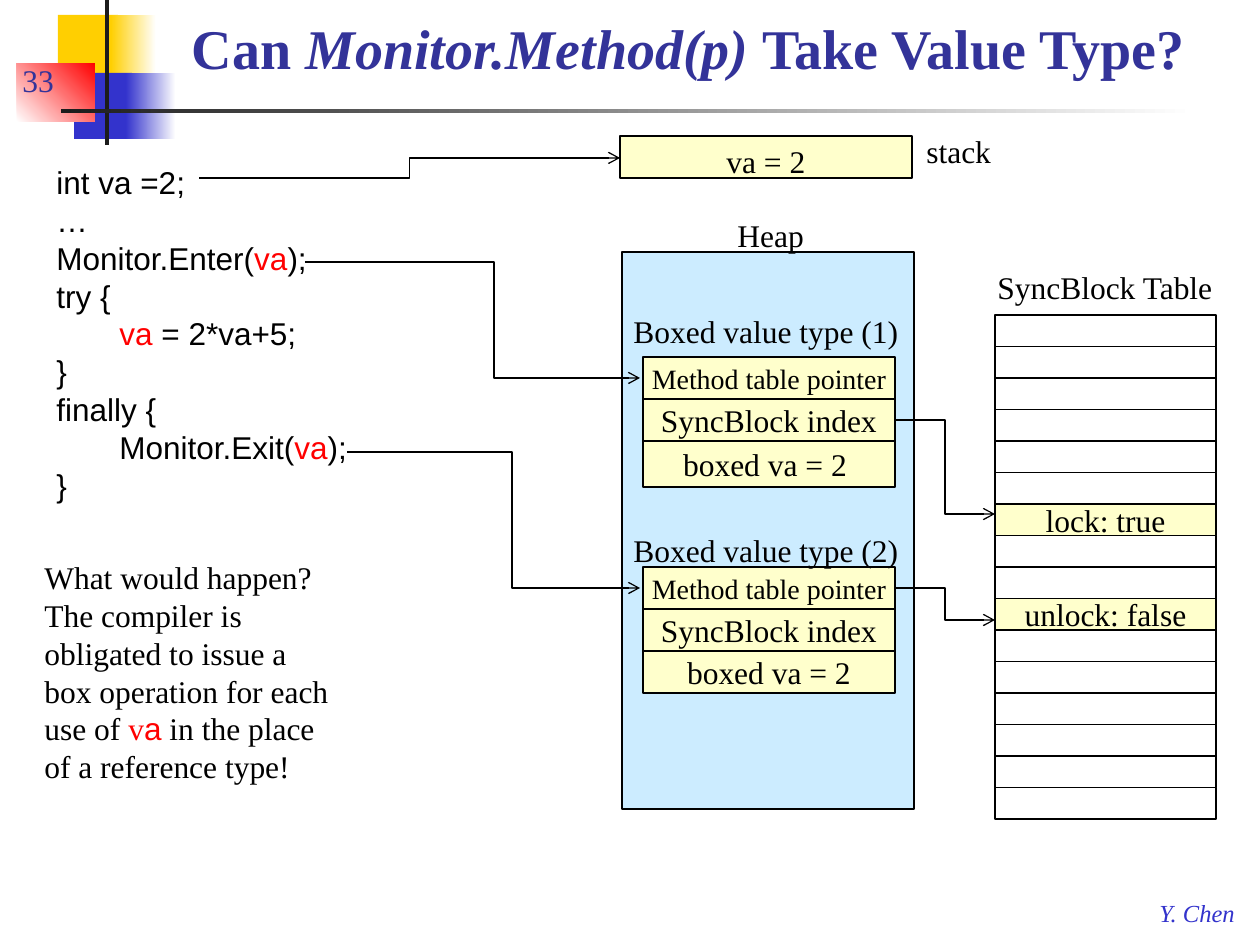
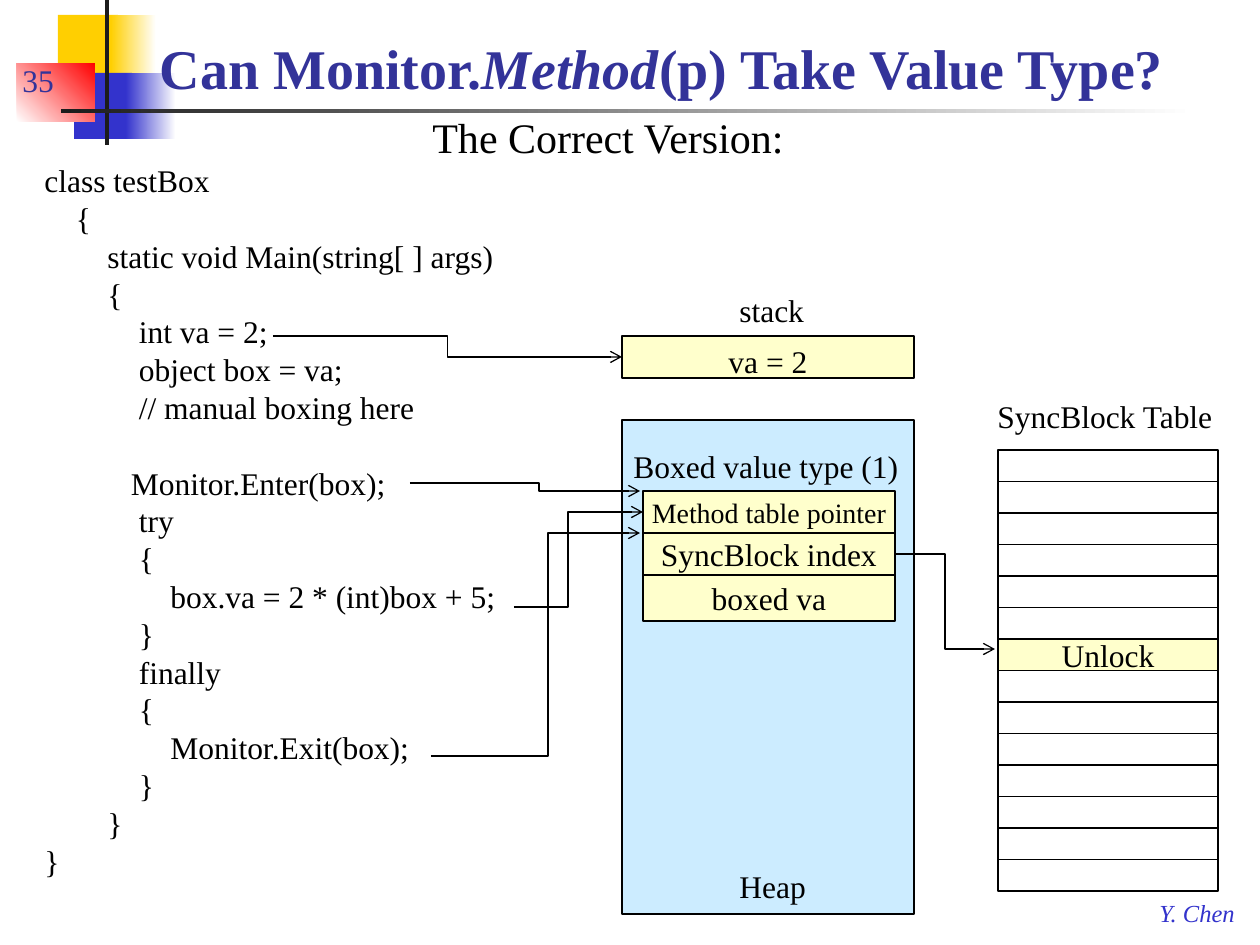
from lxml.etree import SubElement
from pptx import Presentation
from pptx.dml.color import RGBColor
from pptx.enum.shapes import MSO_CONNECTOR as Connector, MSO_SHAPE as Shape
from pptx.enum.text import MSO_ANCHOR as Anchor, MSO_AUTO_SIZE as AutoSize, PP_ALIGN as Align
from pptx.oxml.ns import qn
from pptx.util import Pt

EMU_PER_PX = 914400 / 126
SPACE_EMU = Pt(4.5)
LINE_GAP = Pt(21.6)
TITLE_ONLY = 5

SERIF, SANS = "Times New Roman", "Arial"
BLACK, WHITE, RED = "000000", "FFFFFF", "FF0000"
NAVY, BLUE, YELLOW, DARK = "333399", "3333CC", "FFCF01", "1C1C1C"
CREAM, SKY = "FFFFCC", "CCECFF"

ITALIC = {"italic": True}
RED_SPAN = {"color": RED}
VA = ("va", RED_SPAN)

DECORATION = [
    ((58, 15, 60, 66), YELLOW, None, 0),
    ((111, 15, 45, 66), YELLOW, WHITE, 0),
    ((74, 73, 58, 66), BLUE, None, 0),
    ((126, 73, 50, 66), BLUE, WHITE, 0),
    ((17, 63, 78, 59), WHITE, RED, 45),
    ((105, 0, 4, 145), DARK, None, 0),
    ((61, 109, 1134, 4), DARK, WHITE, 0),
]
AUTHOR = ((1147, 892, 103, 42), "Y. Chen")
NUMBER_AREA = (10, 42, 262, 63)

BOXING_SLIDE = {
    "number": "33",
    "title": ((179, 10, 1061, 77),
              ["Can ", ("Monitor.Method(p)", ITALIC), " Take Value Type?"]),
    "heap": (622, 252, 292, 557),
    "stack": (620, 136, 292, 42),
    "sync_table": ((995, 315, 221, 504), 16, {6: "lock: true", 9: "unlock: false"}),
    "boxed_values": [
        (357, [42, 42, 46], "boxed va = 2 "),
        (567, [42, 42, 42], "boxed va = 2"),
    ],
    "labels": [
        ((725, 210, 92, 50), "Heap"),
        ((985, 262, 243, 50), "SyncBlock Table"),
        ((621, 306, 291, 50), "Boxed value type (1)"),
        ((621, 525, 291, 50), "Boxed value type (2)"),
        ((914, 126, 91, 50), "stack"),
    ],
    "texts": [
        ((44, 157, 319, 357), {"font": SANS, "wrap": False}, [
            (0, ["int va =2;"]),
            (0, ["…"]),
            (0, ["Monitor.Enter(", VA, ");"]),
            (0, ["try {"]),
            (8, [VA, " = 2*va+5;"]),
            (0, ["}"]),
            (0, ["finally {"]),
            (8, ["Monitor.Exit(", VA, ");"]),
            (0, ["}"]),
        ]),
        ((32, 552, 315, 239), {}, [
            (0, ["What would happen?"]),
            (0, ["The compiler is obligated to issue a box operation for each use of ",
                 ("v", RED_SPAN), ("a", {"color": RED, "font": SANS}),
                 " in the place of a reference type!"]),
        ]),
    ],
    "routes": [
        ((305, 262), 494, (640, 378)),
        ((895, 420), 945, (995, 514)),
        ((347, 452), 512, (640, 588)),
        ((895, 588), 945, (995, 620)),
    ],
    "stack_link": ((199, 178), (620, 158)),
}

CORRECT_SLIDE = {
    "number": "35",
    "title": ((147, 21, 1092, 86),
              ["Can Monitor.", ("Method", ITALIC), "(p) Take Value Type?"]),
    "heap": (622, 420, 292, 494),
    "stack": (622, 336, 292, 42),
    "sync_table": ((998, 450, 220, 441), 14, {6: "Unlock"}),
    "boxed_values": [(491, [42, 42, 46], "boxed va")],
    "labels": [
        ((985, 391, 243, 50), "SyncBlock Table"),
        ((621, 441, 291, 50), "Boxed value type (1)"),
        ((727, 285, 91, 50), "stack"),
        ((727, 861, 92, 50), "Heap"),
    ],
    "texts": [
        ((420, 105, 388, 64), {"size": 24}, [(0, ["The Correct Version:"])]),
        ((32, 155, 514, 738), {}, [
            (0, ["class testBox"]),
            (4, ["{"]),
            (8, ["static void Main(string[ ] args)"]),
            (8, ["{"]),
            (12, ["int va = 2;"]),
            (12, ["object box = va;"]),
            (12, ["// manual boxing here"]),
            None,
            (11, ["Monitor.Enter(box);"]),
            (12, ["try"]),
            (12, ["{"]),
            (16, ["box.va = 2 * (int)box + 5;"]),
            (12, ["}"]),
            (12, ["finally"]),
            (12, ["{"]),
            (16, ["Monitor.Exit(box);"]),
            (12, ["}"]),
            (8, ["}"]),
            (0, ["}"]),
        ]),
    ],
    "routes": [
        ((895, 554), 945, (995, 649)),
        ((410, 483), 539, (640, 491)),
        ((431, 756), 548, (640, 533)),
        ((514, 607), 568, (643, 512)),
    ],
    "stack_link": ((273, 336), (622, 357)),
}


def emu(px):
    return round(px * EMU_PER_PX)


def rgb(code):
    return RGBColor.from_string(code)


def write_lines(frame, lines, size=18, font=SERIF, color=BLACK,
                bold=False, italic=False, align=Align.LEFT):
    para, gap = frame.paragraphs[0], False
    started = False
    for line in lines:
        if line is None:
            gap = True
            continue
        if started:
            para = frame.add_paragraph()
        started = True
        depth, spans = line
        para.alignment = align
        if depth:
            properties = para._p.get_or_add_pPr()
            properties.set("marL", str(depth * SPACE_EMU))
            properties.set("indent", "0")
        if gap:
            para.space_before, gap = LINE_GAP, False
        for part in spans:
            text, style = part if isinstance(part, tuple) else (part, {})
            span = para.add_run()
            span.text = text
            span.font.size = Pt(size)
            span.font.name = style.get("font", font)
            span.font.bold = bold
            span.font.italic = style.get("italic", italic)
            span.font.color.rgb = rgb(style.get("color", color))


def add_text(page, area, lines, wrap=True, grow=True, anchor=Anchor.TOP, **style):
    box = page.shapes.add_textbox(*map(emu, area))
    frame = box.text_frame
    frame.word_wrap = wrap
    frame.auto_size = AutoSize.SHAPE_TO_FIT_TEXT if grow else AutoSize.NONE
    frame.vertical_anchor = anchor
    write_lines(frame, lines, **style)


def add_box(page, area, color, text="", size=18, anchor=Anchor.MIDDLE, outlined=True):
    box = page.shapes.add_shape(Shape.RECTANGLE, *map(emu, area))
    box.shadow.inherit = False
    box.fill.solid()
    box.fill.fore_color.rgb = rgb(color)
    if outlined:
        set_line(box)
    else:
        box.line.fill.background()
    if text:
        box.text_frame.word_wrap = False
        box.text_frame.vertical_anchor = anchor
        write_lines(box.text_frame, [(0, [text])], size=size, align=Align.CENTER)
    return box


def set_line(shape):
    shape.line.color.rgb = rgb(BLACK)
    shape.line.width = Pt(0.75)


def finish_arrow(shape):
    set_line(shape)
    SubElement(shape.line._get_or_add_ln(), qn("a:tailEnd"), type="arrow")


def add_route(page, start, bend, end):
    builder = page.shapes.build_freeform(*start, scale=EMU_PER_PX)
    builder.add_line_segments([(bend, start[1]), (bend, end[1]), end], close=False)
    route = builder.convert_to_shape()
    route.shadow.inherit = False
    route.fill.background()
    finish_arrow(route)


def add_stack_link(page, start, end):
    link = page.shapes.add_connector(Connector.ELBOW, *map(emu, start + end))
    finish_arrow(link)
    SubElement(link._element.spPr, qn("a:effectLst"))


def add_frame(page, number, area, spans):
    for place, color, fade, angle in DECORATION:
        block = add_box(page, place, color, outlined=False)
        if fade:
            block.fill.gradient()
            block.fill.gradient_angle = angle
            for stop, tone in zip(block.fill.gradient_stops, (color, fade)):
                stop.color.rgb = rgb(tone)
    place, author = AUTHOR
    add_text(page, place, [(0, [author])], wrap=False, size=14, color=BLUE, italic=True)
    add_text(page, NUMBER_AREA, [(0, [number])], grow=False, anchor=Anchor.BOTTOM, color=NAVY)
    title = page.shapes.title
    title.left, title.top, title.width, title.height = map(emu, area)
    title.text_frame.auto_size = AutoSize.NONE
    title.text_frame.vertical_anchor = Anchor.BOTTOM
    write_lines(title.text_frame, [(0, spans)], size=32, color=NAVY, bold=True)
    title._element.getparent().append(title._element)


def add_sync_table(page, area, count, entries):
    left, top, width, height = area
    row = height / count
    for index in range(count):
        text = entries.get(index, "")
        add_box(page, (left, top + index * row, width, row), CREAM if text else WHITE, text)


def add_boxed_value(page, top, heights, value):
    fields = [("Method table pointer", 16), ("SyncBlock index", 18), (value, 18)]
    for height, (text, size) in zip(heights, fields):
        add_box(page, (643, top, 252, height), CREAM, text, size)
        top += height


def build_slide(deck, content):
    page = deck.slides.add_slide(deck.slide_layouts[TITLE_ONLY])
    add_frame(page, content["number"], *content["title"])
    for area, style, lines in content["texts"]:
        add_text(page, area, lines, **style)
    add_box(page, content["heap"], SKY)
    add_sync_table(page, *content["sync_table"])
    for boxed_value in content["boxed_values"]:
        add_boxed_value(page, *boxed_value)
    add_box(page, content["stack"], CREAM, "va = 2", anchor=Anchor.TOP)
    for area, text in content["labels"]:
        add_text(page, area, [(0, [text])], wrap=False)
    for route in content["routes"]:
        add_route(page, *route)
    add_stack_link(page, *content["stack_link"])


def main():
    deck = Presentation()
    deck.slide_width, deck.slide_height = emu(1260), emu(945)
    for content in (BOXING_SLIDE, CORRECT_SLIDE):
        build_slide(deck, content)
    deck.save("out.pptx")


if __name__ == "__main__":
    main()
